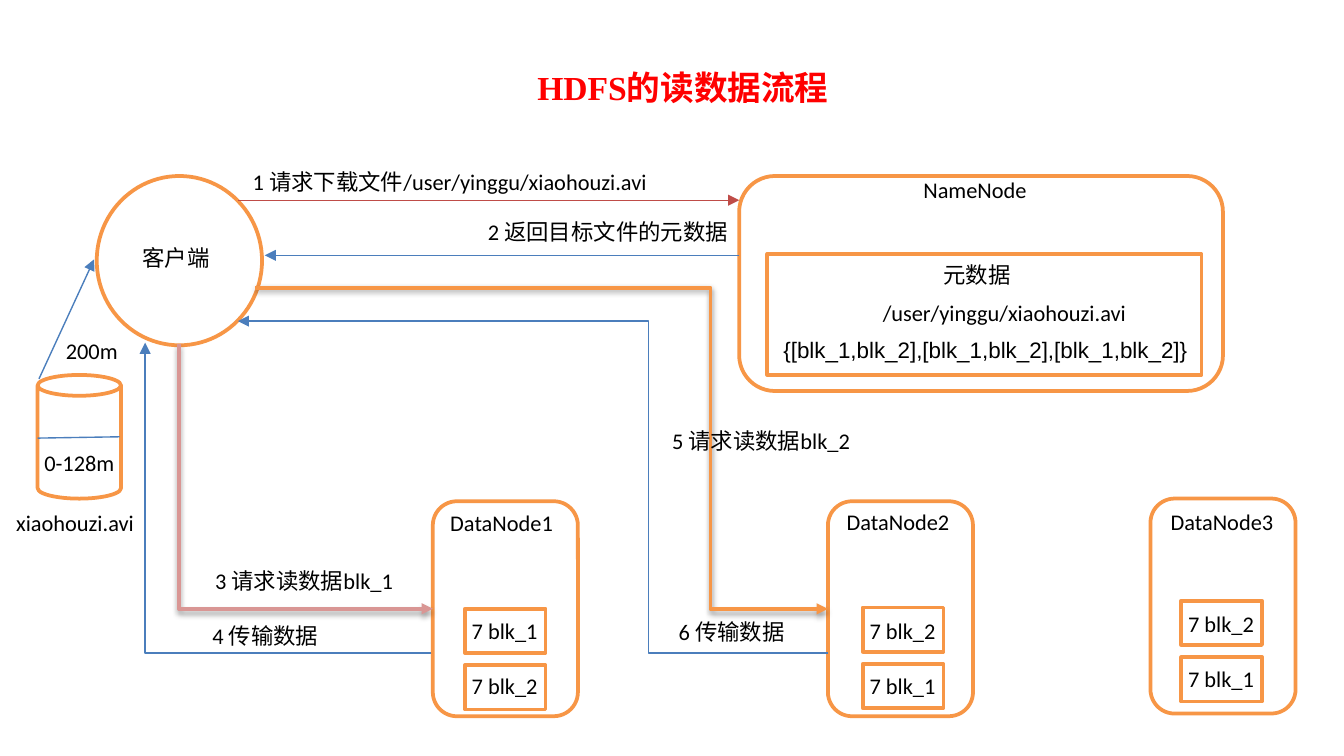
from lxml.etree import SubElement
from pptx import Presentation
from pptx.dml.color import RGBColor
from pptx.enum.shapes import MSO_CONNECTOR, MSO_SHAPE
from pptx.oxml.ns import qn
from pptx.util import Inches, Pt

COLORS = {"white": "FFFFFF", "black": "000000", "orange": "F79646", "blue": "4B7EBC",
          "red": "BF4C48", "pink": "D99694", "title": "FF0000"}

# Shapes: preset, left, top, width, height
OUTLINES = [
    (MSO_SHAPE.OVAL, 0.72, 1.31, 1.23, 1.26),
    (MSO_SHAPE.ROUNDED_RECTANGLE, 5.5, 1.31, 3.6, 1.6),
    (MSO_SHAPE.RECTANGLE, 5.71, 1.89, 3.23, 0.9),
    (MSO_SHAPE.CAN, 0.28, 2.79, 0.62, 0.92),
]

# Data nodes: name, node left and top, label left and top, block left,
# blocks (name, block top, text top)
DATA_NODES = [
    ("DataNode1", 3.22, 3.73, 3.35, 3.79, 3.46,
     [("7 blk_1", 4.53, 4.59), ("7 blk_2", 4.95, 5)]),
    ("DataNode2", 6.16, 3.73, 6.3, 3.78, 6.42,
     [("7 blk_2", 4.52, 4.59), ("7 blk_1", 4.94, 5)]),
    ("DataNode3", 8.56, 3.71, 8.71, 3.78, 8.79,
     [("7 blk_2", 4.47, 4.54), ("7 blk_1", 4.89, 4.95)]),
]
NODE_SIZE = (1.08, 1.6)
BLOCK_SIZE = (0.6, 0.33)

# Straight lines: start, end, colour, arrowhead
STRAIGHT_LINES = [
    ((5.5, 1.9), (1.97, 1.9), "blue", True),
    ((1.77, 1.49), (5.5, 1.49), "red", True),
    ((0.28, 3.26), (0.89, 3.25), "blue", False),
    ((0.29, 2.82), (0.7, 1.93), "blue", True),
]

# Elbows: frame start, frame end (before rotation), colour, width, format
ELBOWS = [
    ((3.26, 2.6), (1.29, 4.49), "pink", 2,
     dict(preset="bentConnector2", rotation=270, shadow=True)),
    ((0.99, 4.77), (3.3, 2.64), "blue", 1, dict(rotation=270, bend=0)),
    ((1.9, 2.14), (6.16, 4.53), "orange", 2, dict(bend=0.795, shadow=True)),
    ((6.16, 4.86), (1.77, 2.39), "blue", 1, dict(bend=0.304)),
]

# Labels: text, left, top, width, height
LABELS = [
    ("1 请求下载文件/user/yinggu/xiaohouzi.avi", 1.88, 1.25, 3.5, 0.27),
    ("2 返回目标文件的元数据", 3.63, 1.62, 1.98, 0.24),
    ("3 请求读数据blk_1", 1.6, 4.22, 1.92, 0.29),
    ("4 传输数据", 1.58, 4.63, 1.24, 0.35),
    ("5 请求读数据blk_2", 5, 3.18, 1.92, 0.29),
    ("6 传输数据", 5.05, 4.6, 1.24, 0.35),
    ("NameNode", 6.87, 1.31, 0.91, 0.37),
    ("客户端", 1.06, 1.82, 0.56, 0.23),
    ("元数据", 7.02, 1.94, 0.56, 0.23),
    ("xiaohouzi.avi", 0.12, 3.79, 0.94, 0.43),
    ("0-128m", 0.33, 3.34, 0.57, 0.2),
    ("200m", 0.49, 2.51, 0.4, 0.23),
]

# Widescreen page, 16:9
deck = Presentation()
deck.slide_width = Inches(10)
deck.slide_height = deck.slide_width * 9 // 16
page = deck.slides.add_slide(deck.slide_layouts[6])


def rgb(name):
    return RGBColor.from_string(COLORS[name])


def add_text(text, left, top, width, height, *, size=12, font="Calibri",
             color="black", bold=False, inset=(0, 0)):
    box = page.shapes.add_textbox(Inches(left), Inches(top), Inches(width), Inches(height))
    frame = box.text_frame
    frame.word_wrap = True
    frame.margin_left = frame.margin_right = Inches(inset[0])
    frame.margin_top = frame.margin_bottom = Inches(inset[1])
    span = frame.paragraphs[0].add_run()
    span.text = text
    span.font.size, span.font.name, span.font.bold = Pt(size), font, bold
    span.font.color.rgb = rgb(color)


def add_outline(preset, left, top, width, height):
    shape = page.shapes.add_shape(preset, Inches(left), Inches(top),
                                  Inches(width), Inches(height))
    shape.shadow.inherit = False
    shape.fill.solid()
    shape.fill.fore_color.rgb = rgb("white")
    shape.line.color.rgb = rgb("orange")
    shape.line.width = Pt(2)


def add_line(kind, start, end, color, width, arrow=True, shadow=False):
    line = page.shapes.add_connector(kind, *(Inches(value) for value in start + end))
    line.line.color.rgb = rgb(color)
    line.line.width = Pt(width)
    properties = line._element.spPr
    if arrow:
        SubElement(properties.find(qn("a:ln")), qn("a:tailEnd"), type="triangle")
    effects = SubElement(properties, qn("a:effectLst"))
    if shadow:
        outer = SubElement(effects, qn("a:outerShdw"), blurRad=str(Pt(3.1)),
                           dist=str(Pt(1.6)), dir="5400000", rotWithShape="0")
        tint = SubElement(outer, qn("a:srgbClr"), val=COLORS["black"])
        SubElement(tint, qn("a:alpha"), val="38000")
    return line


def add_elbow(start, end, color, width, *, preset="bentConnector3", rotation=0,
              bend=None, shadow=False):
    elbow = add_line(MSO_CONNECTOR.ELBOW, start, end, color, width, shadow=shadow)
    properties = elbow._element.spPr
    geometry = properties.find(qn("a:prstGeom"))
    geometry.set("prst", preset)
    if rotation:
        properties.find(qn("a:xfrm")).set("rot", str(rotation * 60000))
    if bend is not None:
        guides = geometry.find(qn("a:avLst"))
        SubElement(guides, qn("a:gd"), name="adj1", fmla=f"val {round(bend * 100000)}")


# Client, name node, metadata and file
for outline in OUTLINES:
    add_outline(*outline)

# Data nodes with their blocks
for name, left, top, label_left, label_top, block_left, blocks in DATA_NODES:
    add_outline(MSO_SHAPE.ROUNDED_RECTANGLE, left, top, *NODE_SIZE)
    add_text(name, label_left, label_top, 0.81, 0.26)
    for block, block_top, text_top in blocks:
        add_outline(MSO_SHAPE.RECTANGLE, block_left, block_top, *BLOCK_SIZE)
        add_text(block, block_left + 0.05, text_top, 0.57, 0.27)

# Arrows
for start, end, color, arrow in STRAIGHT_LINES:
    add_line(MSO_CONNECTOR.STRAIGHT, start, end, color, 0.75, arrow)
for start, end, color, width, look in ELBOWS:
    add_elbow(start, end, color, width, **look)

# Labels, metadata and title
for label in LABELS:
    add_text(*label)
add_text("/user/yinggu/xiaohouzi.avi", 6.47, 2.18, 2.16, 0.3, inset=(0.1, 0.05))
add_text("{[blk_1,blk_2],[blk_1,blk_2],[blk_1,blk_2]}", 5.73, 2.45, 3.25, 0.3,
         font="Arial", inset=(0.1, 0.05))
add_text("HDFS的读数据流程", 3.9, 0.45, 2.4, 0.4, size=18, font="Times New Roman",
         color="title", bold=True, inset=(0.1, 0.05))

deck.save("out.pptx")
